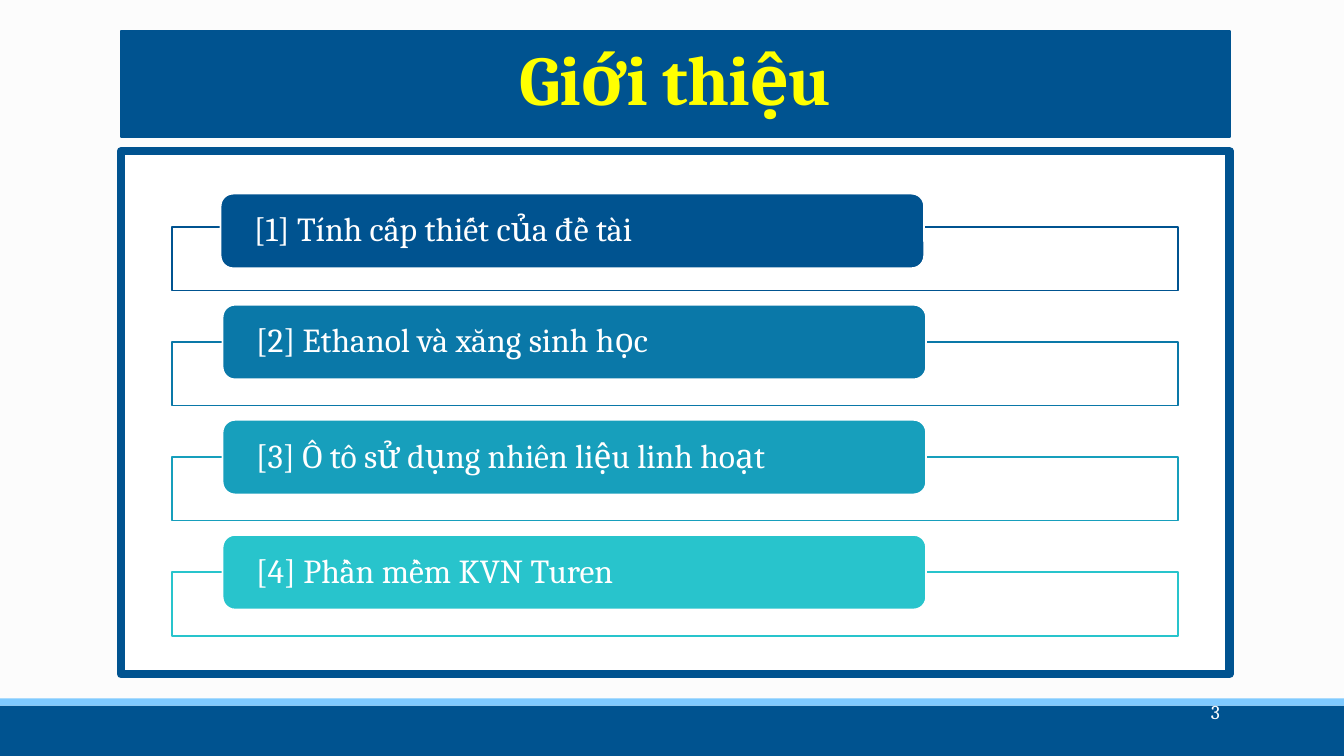
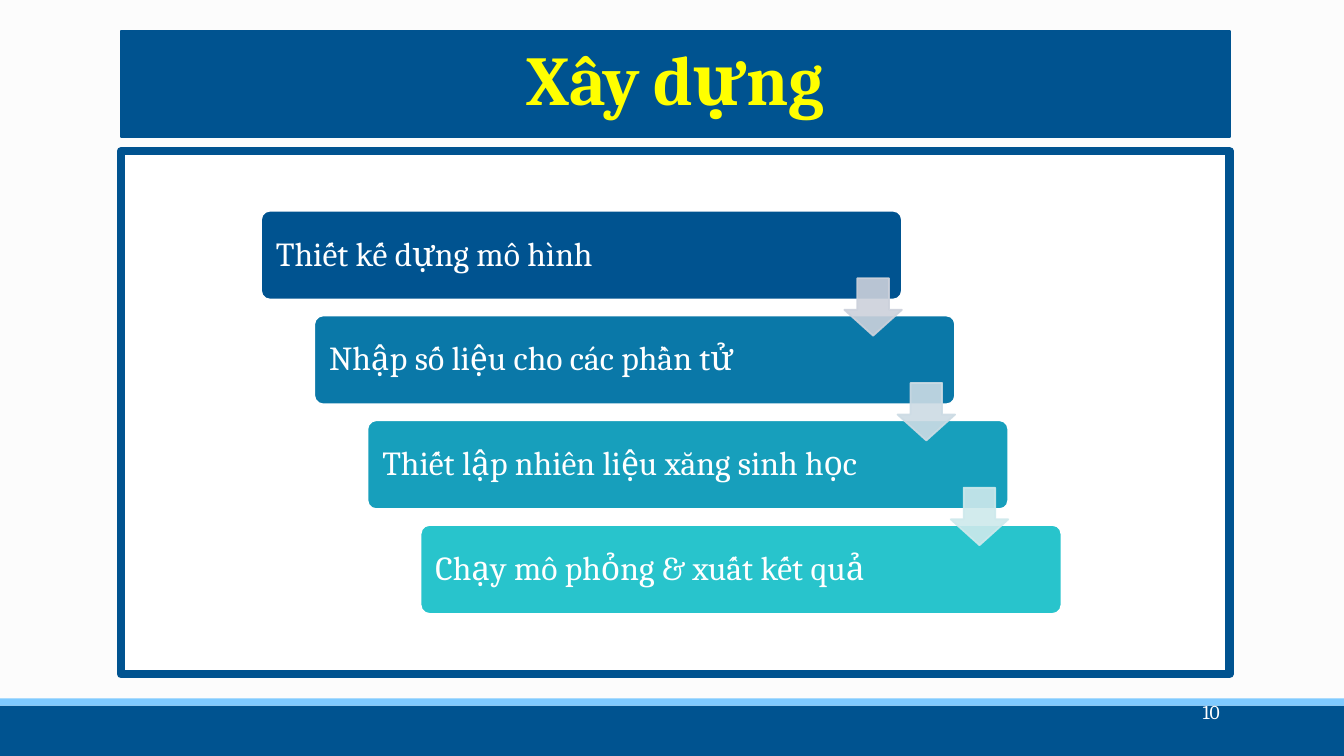
from lxml.etree import SubElement
from pptx import Presentation
from pptx.dml.color import RGBColor
from pptx.enum.shapes import MSO_SHAPE
from pptx.enum.text import MSO_ANCHOR, PP_ALIGN
from pptx.oxml.ns import qn
from pptx.util import Cm, Pt

COLOURS = {
    "back": "FCFCFC", "navy": "005390", "sky": "7FCAFF",
    "white": "FFFFFF", "yellow": "FFFF00",
    "step1": "005390", "step2": "0A78A8", "step3": "179FBC", "step4": "28C4CC",
    "arrow1": "CCD1DB", "arrow2": "CCDBE4", "arrow3": "CEE9EC",
}
FONT = "Cambria"
STYLES = {
    "title": {"size": Pt(50), "bold": True, "colour": "yellow",
              "alignment": PP_ALIGN.CENTER, "line_spacing": 0.85},
    "item": {"size": Pt(24), "bold": False, "colour": "white",
             "alignment": PP_ALIGN.LEFT, "line_spacing": 0.9},
    "number": {"size": Pt(14), "bold": False, "colour": "white",
               "alignment": PP_ALIGN.RIGHT, "line_spacing": 1.0},
}

# Boxes are (left, top, width, height) in centimetres
PAGE_WIDTH, PAGE_HEIGHT = 33.87, 19.05
TITLE_BOX = (3.05, 0.79, 27.94, 2.67)
PANEL_BOX = (3.05, 3.81, 27.94, 13.18)
NUMBER_BOX = (27.35, 17.32, 3.64, 1.25)


def colour(name):
    return RGBColor.from_string(COLOURS[name])


def set_opacity(fill_format_parent, percent):
    """Make every solid colour below an element partly transparent."""
    for value in fill_format_parent.iter(qn("a:srgbClr")):
        SubElement(value, qn("a:alpha"), val=str(percent * 1000))


def add_box(page, kind, box, fill, line=None, weight=1.25, rounding=None):
    shape = page.shapes.add_shape(kind, *map(Cm, box))
    shape.shadow.inherit = False
    shape.fill.solid()
    shape.fill.fore_color.rgb = colour(fill)
    if line:
        shape.line.color.rgb = colour(line)
        shape.line.width = Pt(weight)
    else:
        shape.line.fill.background()
    if rounding is not None:
        shape.adjustments[0] = rounding
    return shape


def write(shape, text, style, inset=0.25):
    """Put one line of styled text in a shape."""
    values = STYLES[style]
    frame = shape.text_frame
    frame.word_wrap = True
    frame.vertical_anchor = MSO_ANCHOR.MIDDLE
    frame.margin_left = frame.margin_right = Cm(inset)
    para = frame.paragraphs[0]
    for name in ("alignment", "line_spacing"):
        setattr(para, name, values[name])
    span = para.add_run()
    span.text = text
    for name in ("size", "bold"):
        setattr(span.font, name, values[name])
    span.font.name = FONT
    span.font.color.rgb = colour(values["colour"])
    return span


def add_page(deck, title, number):
    """Background, footer bands, title, panel and page number."""
    page = deck.slides.add_slide(deck.slide_layouts[6])
    page.background.fill.solid()
    page.background.fill.fore_color.rgb = colour("back")

    # Footer bands
    add_box(page, MSO_SHAPE.RECTANGLE, (0, 17.78, PAGE_WIDTH, 1.27), "navy")
    add_box(page, MSO_SHAPE.RECTANGLE, (0, 17.6, PAGE_WIDTH, 0.18), "sky")

    # Title bar and content panel
    bar = add_box(page, MSO_SHAPE.RECTANGLE, TITLE_BOX, "navy", "navy")
    span = write(bar, title, "title")
    span.font._element.set("spc", "-50")
    add_box(page, MSO_SHAPE.RECTANGLE, PANEL_BOX, "white", "navy", 6)

    # Page number
    write(page.shapes.add_textbox(*map(Cm, NUMBER_BOX)), str(number), "number")
    return page


def add_agenda(page, box, items):
    """Outlined rows, each with a label pill over its top edge."""
    left, top = box[0] + 1.29, box[1] + 1.91
    pitch = 2.9
    for index, text in enumerate(items):
        row_top = top + index * pitch
        shade = f"step{index + 1}"
        row = add_box(page, MSO_SHAPE.RECTANGLE,
                      (left, row_top, 25.35, 1.6), "white", shade)
        set_opacity(row.fill._xPr.find(qn("a:solidFill")), 90)
        # The first pill sits slightly lower and further left
        shift, rise = (1.22, 0.84) if index == 0 else (1.27, 0.94)
        pill = add_box(page, MSO_SHAPE.ROUNDED_RECTANGLE,
                       (left + shift, row_top - rise, 17.73, 1.88),
                       shade, "white")
        write(pill, text, "item", 0.75)


def add_staircase(page, box, steps):
    """Boxes going down to the right, joined by block arrows."""
    left, top = box[0] + 3.53, box[1] + 1.5
    width, height, arrow_size = 16.15, 2.24, 1.45
    corners = [(left + index * 1.34, top + index * 2.64)
               for index in range(len(steps))]

    for index, (text, corner) in enumerate(zip(steps, corners), 1):
        step = add_box(page, MSO_SHAPE.ROUNDED_RECTANGLE,
                       (*corner, width, height), f"step{index}", "white",
                       rounding=0.1)
        write(step, text, "item", 0.31)

    # Arrows line up with the right side of the step they leave
    for index, (x, y) in enumerate(corners[:-1], 1):
        shade = f"arrow{index}"
        arrow = add_box(page, MSO_SHAPE.DOWN_ARROW,
                        (x + width - arrow_size, y + 1.7,
                         arrow_size, arrow_size), shade, shade)
        arrow.adjustments[0] = 0.55
        arrow.adjustments[1] = 0.45
        set_opacity(arrow._element.spPr, 90)


def main():
    deck = Presentation()
    deck.slide_width, deck.slide_height = Cm(PAGE_WIDTH), Cm(PAGE_HEIGHT)

    add_agenda(add_page(deck, "Giới thiệu", 3), PANEL_BOX, [
        "[1] Tính cấp thiết của đề tài",
        "[2] Ethanol và xăng sinh học",
        "[3] Ô tô sử dụng nhiên liệu linh hoạt",
        "[4] Phần mềm KVN Turen",
    ])
    add_staircase(add_page(deck, "Xây dựng", 10), PANEL_BOX, [
        "Thiết kế dựng mô hình",
        "Nhập số liệu cho các phần tử",
        "Thiết lập nhiên liệu xăng sinh học",
        "Chạy mô phỏng & xuất kết quả",
    ])
    deck.save("out.pptx")


if __name__ == "__main__":
    main()
